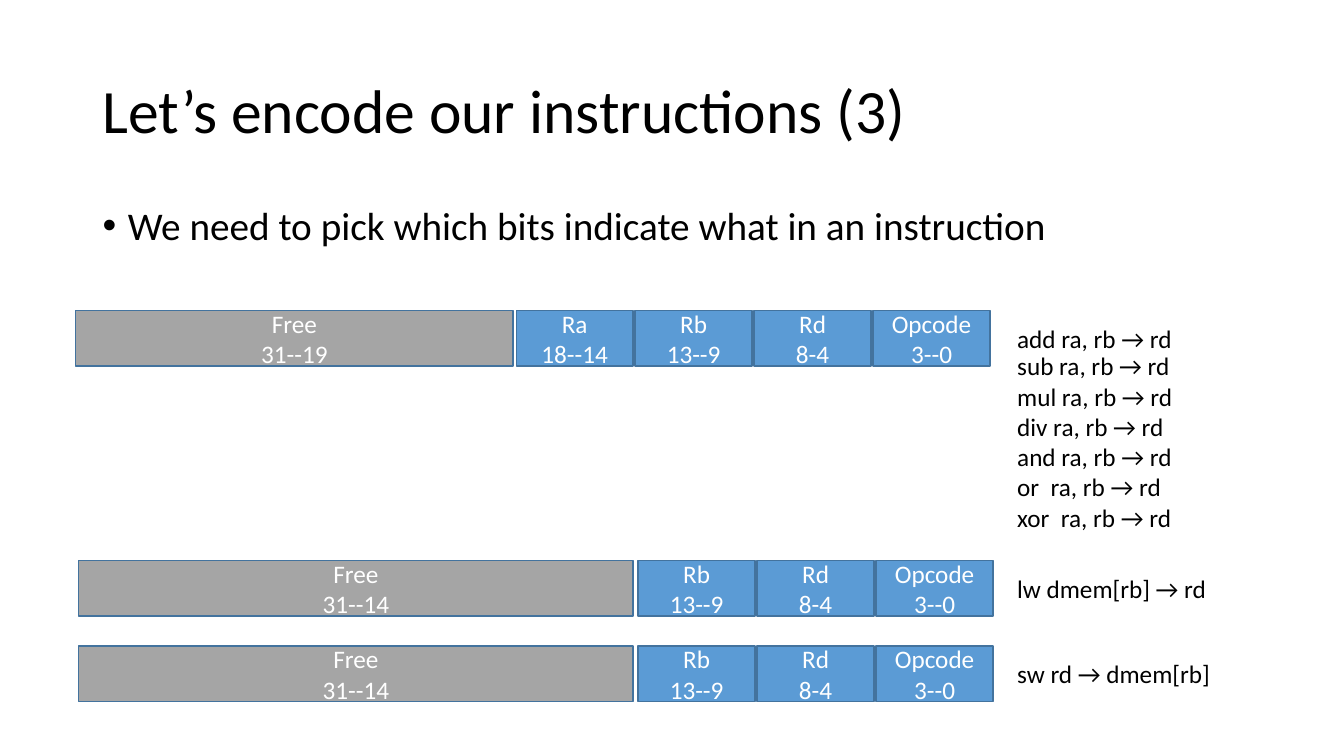
from dataclasses import dataclass

from lxml import etree
from pptx import Presentation
from pptx.dml.color import RGBColor
from pptx.enum.shapes import MSO_SHAPE
from pptx.enum.text import MSO_ANCHOR, MSO_AUTO_SIZE, PP_ALIGN
from pptx.oxml.ns import qn
from pptx.shapes.shapetree import GroupShapes, SlideShapes
from pptx.text.text import TextFrame
from pptx.util import Emu, Pt

RECTANGLE = MSO_SHAPE.RECTANGLE
MIDDLE, TOP = MSO_ANCHOR.MIDDLE, MSO_ANCHOR.TOP
CENTER, LEFT = PP_ALIGN.CENTER, PP_ALIGN.LEFT
GROW = MSO_AUTO_SIZE.SHAPE_TO_FIT_TEXT

EMU_PER_PX = 9144  # 100 px to the inch


@dataclass(frozen=True)
class Theme:
    font: str = "Calibri"
    title_size: int = 44
    body_size: int = 28
    label_size: int = 18
    text: RGBColor = RGBColor(0, 0, 0)
    field_text: RGBColor = RGBColor(255, 255, 255)
    field: RGBColor = RGBColor(0x5B, 0x9B, 0xD5)
    free: RGBColor = RGBColor(0xA5, 0xA5, 0xA5)
    outline: RGBColor = RGBColor(0x43, 0x73, 0x9E)


@dataclass(frozen=True)
class Box:
    left: int
    top: int
    width: int
    height: int

    def emu(self) -> tuple[Emu, Emu, Emu, Emu]:
        return px(self.left), px(self.top), px(self.width), px(self.height)


@dataclass(frozen=True)
class Field:
    name: str
    bits: str


@dataclass(frozen=True)
class Encoding:
    left: int
    top: int
    free_width: int
    free_bits: str
    fields_left: int
    fields: tuple[Field, ...]
    label: str
    label_box: Box


THEME = Theme()
FIELD_WIDTH, FIELD_HEIGHT, FIELD_PITCH = 116, 55, 118
LABEL_LEFT = 999

RA = Field("Ra", "18--14")
SHARED_FIELDS = (Field("Rb", "13--9"), Field("Rd", "8-4"), Field("Opcode", "3--0"))

ENCODINGS = (
    Encoding(75, 308, 434, "31--19", 512, (RA, *SHARED_FIELDS),
             "add ra, rb → rd", Box(LABEL_LEFT, 316, 180, 40)),
    Encoding(78, 556, 550, "31--14", 633, SHARED_FIELDS,
             "lw dmem[rb] → rd", Box(LABEL_LEFT, 564, 212, 40)),
    Encoding(78, 641, 550, "31--14", 633, SHARED_FIELDS,
             "sw rd → dmem[rb]", Box(LABEL_LEFT, 648, 216, 40)),
)
OTHER_INSTRUCTIONS = (
    "sub ra, rb → rd",
    "mul ra, rb → rd",
    "div ra, rb → rd",
    "and ra, rb → rd",
    "or  ra, rb → rd",
    "xor  ra, rb → rd",
)


def px(length: int) -> Emu:
    return Emu(length * EMU_PER_PX)


def write(frame: TextFrame, lines: tuple[str, ...], size: int,
          color: RGBColor = THEME.text, align: PP_ALIGN = LEFT) -> None:
    for index, line in enumerate(lines):
        paragraph = frame.paragraphs[0] if index == 0 else frame.add_paragraph()
        paragraph.text = line
        paragraph.alignment = align
        paragraph.font.name = THEME.font
        paragraph.font.size = Pt(size)
        paragraph.font.color.rgb = color


def add_heading(shapes: SlideShapes, box: Box, text: str, size: int,
                anchor: MSO_ANCHOR) -> TextFrame:
    frame = shapes.add_textbox(*box.emu()).text_frame
    frame.word_wrap = True
    frame.vertical_anchor = anchor
    write(frame, (text,), size)
    frame.paragraphs[0].line_spacing = 0.9
    return frame


def add_bullet(frame: TextFrame) -> None:
    paragraph = frame.paragraphs[0]
    paragraph.space_before = Pt(10)
    properties = paragraph._p.get_or_add_pPr()
    properties.set("marL", str(px(25)))
    properties.set("indent", str(px(-25)))
    bullet_font = etree.Element(qn("a:buFont"), typeface="Arial")
    bullet = etree.Element(qn("a:buChar"), char="•")
    default_run = properties.find(qn("a:defRPr"))
    default_run.addprevious(bullet_font)
    default_run.addprevious(bullet)


def add_label(shapes: SlideShapes | GroupShapes, box: Box, lines: tuple[str, ...]) -> None:
    frame = shapes.add_textbox(*box.emu()).text_frame
    frame.word_wrap = False
    frame.auto_size = GROW
    write(frame, lines, THEME.label_size)


def add_field(shapes: GroupShapes, box: Box, field: Field, fill: RGBColor) -> None:
    shape = shapes.add_shape(RECTANGLE, *box.emu())
    shape.shadow.inherit = False
    shape.fill.solid()
    shape.fill.fore_color.rgb = fill
    shape.line.color.rgb = THEME.outline
    shape.line.width = Pt(1)
    shape.text_frame.vertical_anchor = MIDDLE
    write(shape.text_frame, (field.name, field.bits), THEME.label_size,
          THEME.field_text, CENTER)


def add_encoding(shapes: SlideShapes, encoding: Encoding) -> None:
    group = shapes.add_group_shape().shapes
    for index, field in enumerate(encoding.fields):
        left = encoding.fields_left + index * FIELD_PITCH
        add_field(group, Box(left, encoding.top, FIELD_WIDTH, FIELD_HEIGHT), field, THEME.field)
    free_box = Box(encoding.left, encoding.top, encoding.free_width, FIELD_HEIGHT)
    add_field(group, free_box, Field("Free", encoding.free_bits), THEME.free)
    add_label(group, encoding.label_box, (encoding.label,))


def main() -> None:
    presentation = Presentation()
    presentation.slide_width, presentation.slide_height = px(1333), px(750)
    shapes = presentation.slides.add_slide(presentation.slide_layouts[6]).shapes

    # Title and opening statement
    add_heading(shapes, Box(92, 40, 1150, 145), "Let’s encode our instructions (3)",
                THEME.title_size, MIDDLE)
    statement = add_heading(shapes, Box(92, 200, 1150, 92),
                            "We need to pick which bits indicate what in an instruction",
                            THEME.body_size, TOP)
    add_bullet(statement)

    # Instruction formats with their example instructions
    for encoding in ENCODINGS:
        add_encoding(shapes, encoding)

    # Remaining instructions that share the first format
    add_label(shapes, Box(LABEL_LEFT, 343, 178, 192), OTHER_INSTRUCTIONS)

    presentation.save("out.pptx")


if __name__ == "__main__":
    main()
